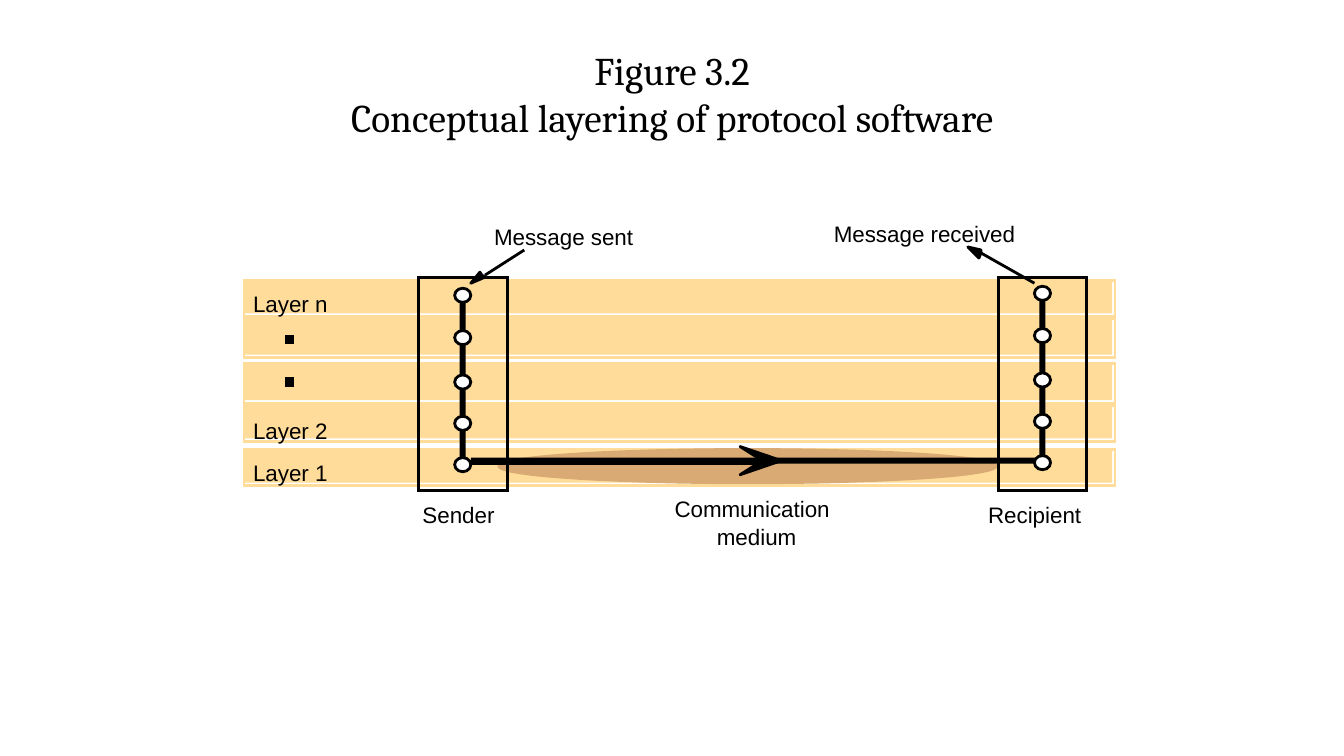
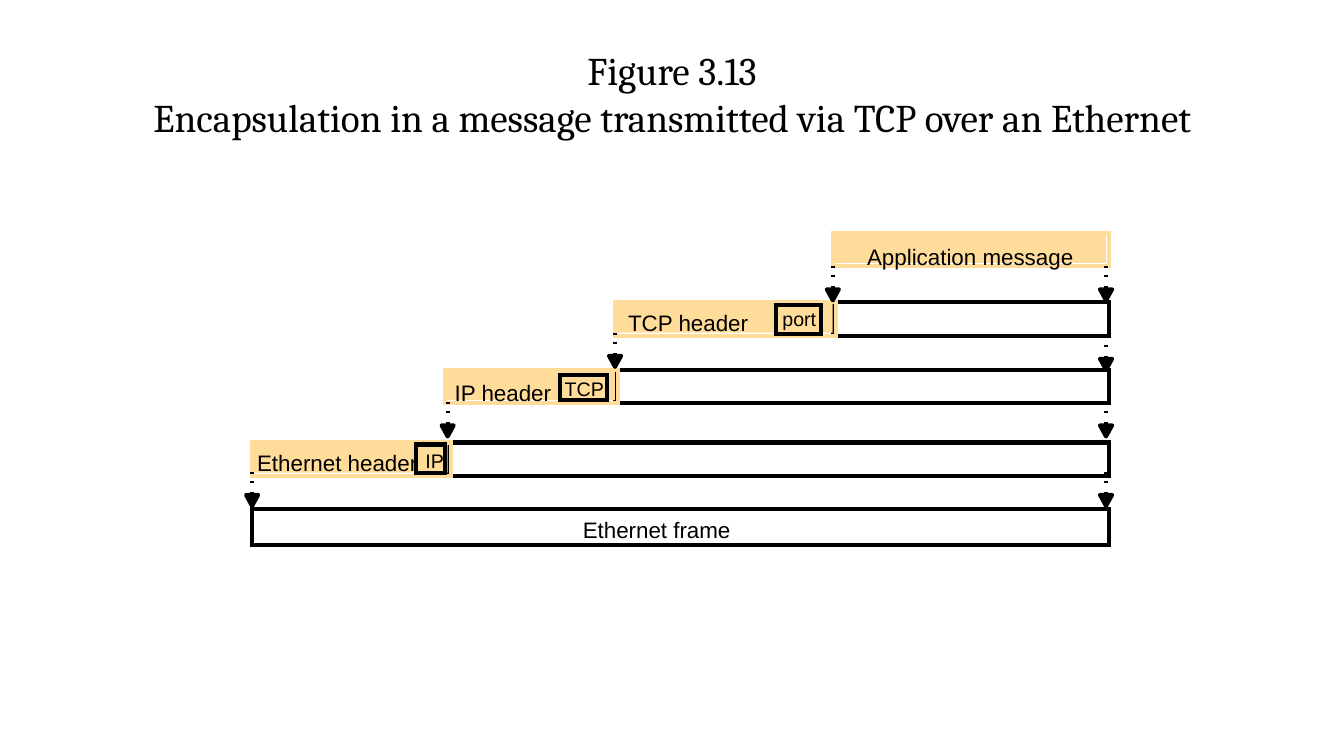
from lxml import etree
from pptx import Presentation
from pptx.dml.color import RGBColor
from pptx.enum.shapes import MSO_CONNECTOR, MSO_SHAPE
from pptx.enum.text import MSO_ANCHOR, MSO_AUTO_SIZE, PP_ALIGN
from pptx.oxml.ns import qn
from pptx.util import Pt

PX = 9144  # EMU per px, 100 px to the inch
COLORS = {"ink": "000000", "band": "FFDC99", "medium": "D9AA73", "paper": "FFFFFF"}
INK = RGBColor.from_string(COLORS["ink"])
RECT, OVAL = MSO_SHAPE.RECTANGLE, MSO_SHAPE.OVAL
STRAIGHT = MSO_CONNECTOR.STRAIGHT
LEFT, CENTER, MIDDLE = PP_ALIGN.LEFT, PP_ALIGN.CENTER, MSO_ANCHOR.MIDDLE
FIT, FIXED = MSO_AUTO_SIZE.SHAPE_TO_FIT_TEXT, MSO_AUTO_SIZE.NONE
THIN, THICK = 2, 2.88


def block(page, kind, left, top, width, height, fill=None, line=None, weight=THIN):
    shape = page.shapes.add_shape(kind, left * PX, top * PX, width * PX, height * PX)
    shape.shadow.inherit = False
    for paint, color in ((shape.fill, fill), (shape.line.fill, line)):
        if color:
            paint.solid()
            paint.fore_color.rgb = RGBColor.from_string(COLORS[color])
        else:
            paint.background()
    if line:
        shape.line.width = Pt(weight)
        etree.SubElement(shape.line._get_or_add_ln(), qn("a:miter"), lim="800000")


def label(page, text, left, top, width, height=27, size=16, font="Arial", align=LEFT):
    box = page.shapes.add_textbox(left * PX, top * PX, width * PX, height * PX)
    frame = box.text_frame
    frame.margin_left = frame.margin_right = frame.margin_top = frame.margin_bottom = 0
    frame.word_wrap = False
    frame.auto_size = FIT
    for index, words in enumerate(text.split("\n")):
        para = frame.add_paragraph() if index else frame.paragraphs[0]
        para.alignment = align
        span = para.add_run()
        span.text = words
        span.font.size = Pt(size)
        span.font.name = font
        span.font.color.rgb = INK
    return frame


deck = Presentation()
deck.slide_width, deck.slide_height = 1333 * PX, 750 * PX

# Pages with their titles
pages = []
for title in ("Figure 3.2\nConceptual layering of protocol software",
              "Figure 3.13\nEncapsulation in a message transmitted via TCP over an Ethernet"):
    page = deck.slides.add_slide(deck.slide_layouts[6])
    frame = label(page, title, 67, 30, 1199, 125, 28, "Cambria", CENTER)
    frame.word_wrap = True
    frame.auto_size = FIXED
    frame.vertical_anchor = MIDDLE
    pages.append(page)
layering, encapsulation = pages

# Layer bands
for top, height in ((278, 33), (316, 36), (361, 36), (402, 33), (446, 33)):
    block(layering, RECT, 242, top, 861, height, "band")
    block(layering, RECT, 242, top, 864, height + 3, None, "band")

# Communication medium
block(layering, OVAL, 495, 446, 493, 33, "medium", "medium")
block(layering, RECT, 467, 454, 567, 6, "ink")

# Sender and recipient stacks
for left, top in ((415, 286), (990, 284)):
    block(layering, RECT, left, 275, 88, 212, None, "ink")
    block(layering, RECT, left + 41, top + 6, 6, 168, "ink")
    for offset in (0, 42, 86, 127, 168):
        block(layering, OVAL, left + 36, top + offset, 16, 14, "paper", "ink")

# Layer dots and labels
for top in (333, 375):
    block(layering, RECT, 283, top, 8, 8, "ink", "ink", 0.75)
for text, left, top, width in (
        ("Layer n", 251, 288, 75), ("Layer 2", 251, 414, 75), ("Layer 1", 251, 456, 75),
        ("Message sent", 490, 221, 139), ("Message received", 827, 218, 180),
        ("Communication", 669, 491, 154), ("medium", 711, 519, 79),
        ("Sender", 419, 497, 72), ("Recipient", 980, 497, 93)):
    label(layering, text, left, top, width)

# Arrows of the layering page: lines and heads
lines = [(layering, 467, 460, 753, 460, THIN),
         (layering, 520, 248, 481, 273, THIN),
         (layering, 1026, 281, 973, 251, THIN)]
heads = [(layering, THIN, ((775, 457), (734, 471), (756, 457), (734, 443))),
         (layering, THIN, ((478, 273), (481, 275), (467, 281), (476, 270))),
         (layering, THIN, ((973, 251), (971, 256), (960, 245), (973, 248)))]

# Encapsulated bodies: left, top, height, tips of the left and right arrow
RIGHT = 1100
for left, top, height, left_tip, right_tip in (
        (826, 300, 33, 298, 298), (610, 367, 33, 364, 367),
        (444, 439, 33, 433, 433), (250, 505, 36, 502, 502)):
    block(encapsulation, RECT, left, top, RIGHT - left, height, None, "ink", THICK)
    for x, tip in ((left, left_tip), (RIGHT - 3, right_tip)):
        for rise in (34, 25, 14):
            lines.append((encapsulation, x, tip - rise, x, tip - rise + 2, THICK))
        heads.append((encapsulation, THICK,
                      ((x, tip), (x - 6, tip - 11), (x + 6, tip - 11))))

# Headers: left, top, width
for left, top, width in ((826, 231, 271), (610, 300, 216), (441, 367, 169), (250, 439, 194)):
    block(encapsulation, RECT, left, top, width, 30, "band")
    block(encapsulation, RECT, left, top, width + 3, 33, None, "band", THICK)

# Header labels and protocol tags
for text, left, top, width in (
        ("Application message", 860, 241, 205), ("TCP header", 623, 307, 120),
        ("IP header", 451, 376, 96), ("Ethernet header", 255, 446, 159),
        ("Ethernet frame", 578, 512, 149)):
    label(encapsulation, text, left, top, width)
for text, left, top, width, frame_left, frame_top, frame_width, frame_height in (
        ("port", 776, 304, 34, 770, 303, 44, 28),
        ("TCP", 560, 374, 39, 555, 372, 47, 25),
        ("IP", 422, 445, 19, 413, 441, 28, 28)):
    label(encapsulation, text, left, top, width, 24, 14)
    block(encapsulation, RECT, frame_left, frame_top, frame_width, frame_height,
          None, "ink", THICK)

# Draw the collected lines and arrowheads
for page, x1, y1, x2, y2, weight in lines:
    line = page.shapes.add_connector(STRAIGHT, x1 * PX, y1 * PX, x2 * PX, y2 * PX)
    line.line.color.rgb = INK
    line.line.width = Pt(weight)
    etree.SubElement(line._element.spPr, qn("a:effectLst"))
for page, weight, points in heads:
    outline = page.shapes.build_freeform(*points[0], scale=PX)
    outline.add_line_segments(points[1:])
    head = outline.convert_to_shape()
    head.shadow.inherit = False
    head.fill.solid()
    head.fill.fore_color.rgb = INK
    head.line.color.rgb = INK
    head.line.width = Pt(weight)

deck.save("out.pptx")
